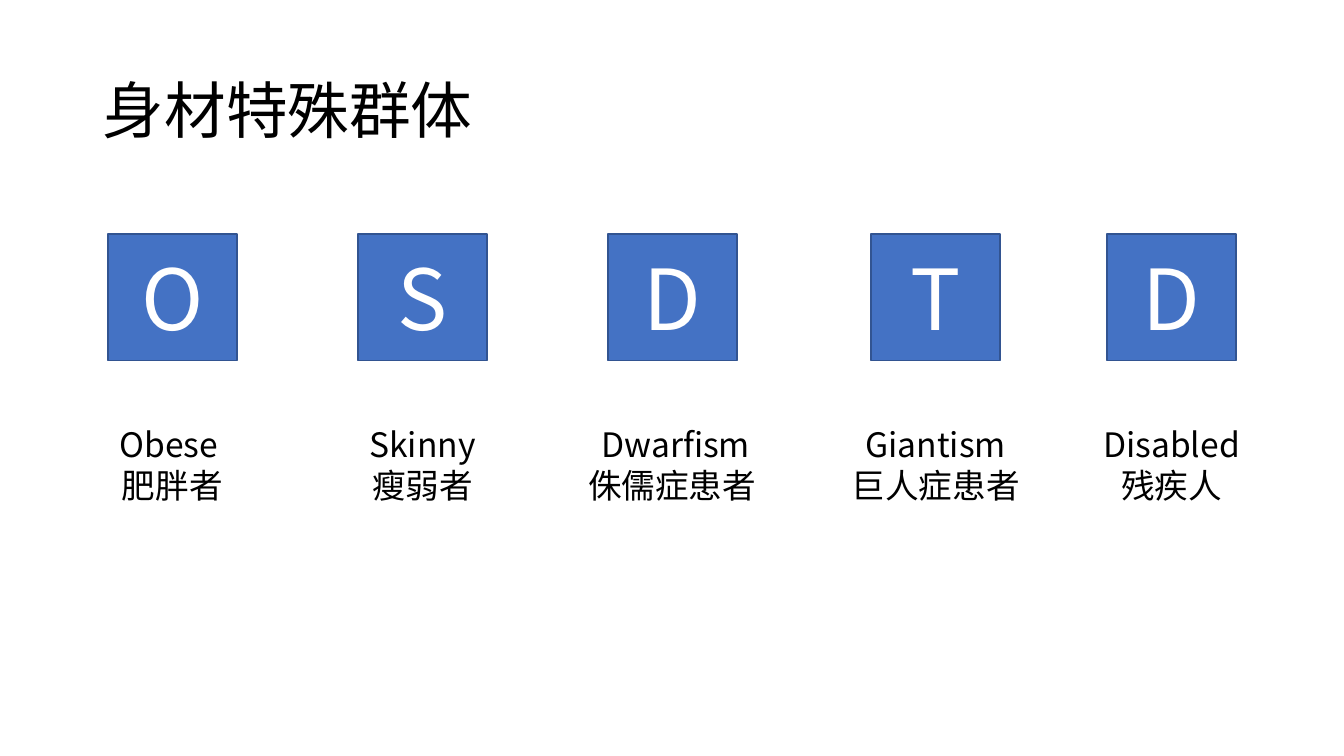
from dataclasses import dataclass

from lxml import etree
from pptx import Presentation
from pptx.dml.color import RGBColor
from pptx.enum.shapes import MSO_SHAPE
from pptx.enum.text import MSO_ANCHOR, MSO_AUTO_SIZE, PP_ALIGN
from pptx.oxml.ns import qn
from pptx.slide import Slide
from pptx.text.text import TextFrame
from pptx.util import Emu, Pt

RECTANGLE = MSO_SHAPE.RECTANGLE
MIDDLE, TOP = MSO_ANCHOR.MIDDLE, MSO_ANCHOR.TOP
LEFT, CENTER = PP_ALIGN.LEFT, PP_ALIGN.CENTER
FIXED, GROW = MSO_AUTO_SIZE.NONE, MSO_AUTO_SIZE.SHAPE_TO_FIT_TEXT

BLACK = RGBColor(0x00, 0x00, 0x00)
WHITE = RGBColor(0xFF, 0xFF, 0xFF)
BLUE = RGBColor(0x44, 0x72, 0xC4)
DARK_BLUE = RGBColor(0x32, 0x54, 0x91)
FONT = "Noto Sans CJK SC"

EMU_PER_PX = 9144  # 100 px to the inch
TILE_TOP, TILE_WIDTH, TILE_HEIGHT = 232, 128, 126
LABEL_TOP, LABEL_HEIGHT = 416, 91


@dataclass(frozen=True)
class Group:
    letter: str
    english: str
    chinese: str
    tile_left: int
    label_width: int = 160


GROUPS = [
    Group("O", "Obese ", "肥胖者", 107),
    Group("S", "Skinny", "瘦弱者", 355),
    Group("D", " Dwarfism", "侏儒症患者", 603, 189),
    Group("T", "Giantism", "巨人症患者", 864, 202),
    Group("D", "Disabled", "残疾人", 1098),
]


def px(length: int) -> Emu:
    return Emu(length * EMU_PER_PX)


def write_text(frame: TextFrame, *lines: str, size: int, color: RGBColor = BLACK,
               align: PP_ALIGN = CENTER, anchor: MSO_ANCHOR = MIDDLE,
               auto_size: MSO_AUTO_SIZE = FIXED, spacing: float = 1.0) -> None:
    frame.word_wrap = True
    frame.auto_size = auto_size
    frame.vertical_anchor = anchor
    for index, line in enumerate(lines):
        para = frame.add_paragraph() if index else frame.paragraphs[0]
        para.alignment = align
        para.line_spacing = spacing
        span = para.add_run()
        span.text = line
        span.font.size = Pt(size)
        span.font.color.rgb = color
        span.font.name = FONT
        # The East Asian typeface follows the Latin one
        etree.SubElement(span.font._element, qn("a:ea"), typeface=FONT)


def add_title(page: Slide, text: str) -> None:
    title = page.shapes.title
    title.left, title.top = px(92), px(40)
    title.width, title.height = px(1150), px(145)
    write_text(title.text_frame, text, size=44, align=LEFT, spacing=0.9)


def add_group(page: Slide, group: Group) -> None:
    # Letter tile
    tile = page.shapes.add_shape(RECTANGLE, px(group.tile_left), px(TILE_TOP),
                                 px(TILE_WIDTH), px(TILE_HEIGHT))
    tile.shadow.inherit = False
    tile.fill.solid()
    tile.fill.fore_color.rgb = BLUE
    tile.line.color.rgb = DARK_BLUE
    tile.line.width = Pt(1)
    write_text(tile.text_frame, group.letter, size=60, color=WHITE)

    # Label centred under the tile
    label_left = group.tile_left + (TILE_WIDTH - group.label_width) // 2
    label = page.shapes.add_textbox(px(label_left), px(LABEL_TOP),
                                    px(group.label_width), px(LABEL_HEIGHT))
    write_text(label.text_frame, group.english, group.chinese,
               size=24, anchor=TOP, auto_size=GROW)


def main() -> None:
    deck = Presentation()
    deck.slide_width, deck.slide_height = px(1333), px(750)
    page = deck.slides.add_slide(deck.slide_layouts.get_by_name("Title Only"))
    add_title(page, "身材特殊群体")
    for group in GROUPS:
        add_group(page, group)
    deck.save("out.pptx")


if __name__ == "__main__":
    main()
